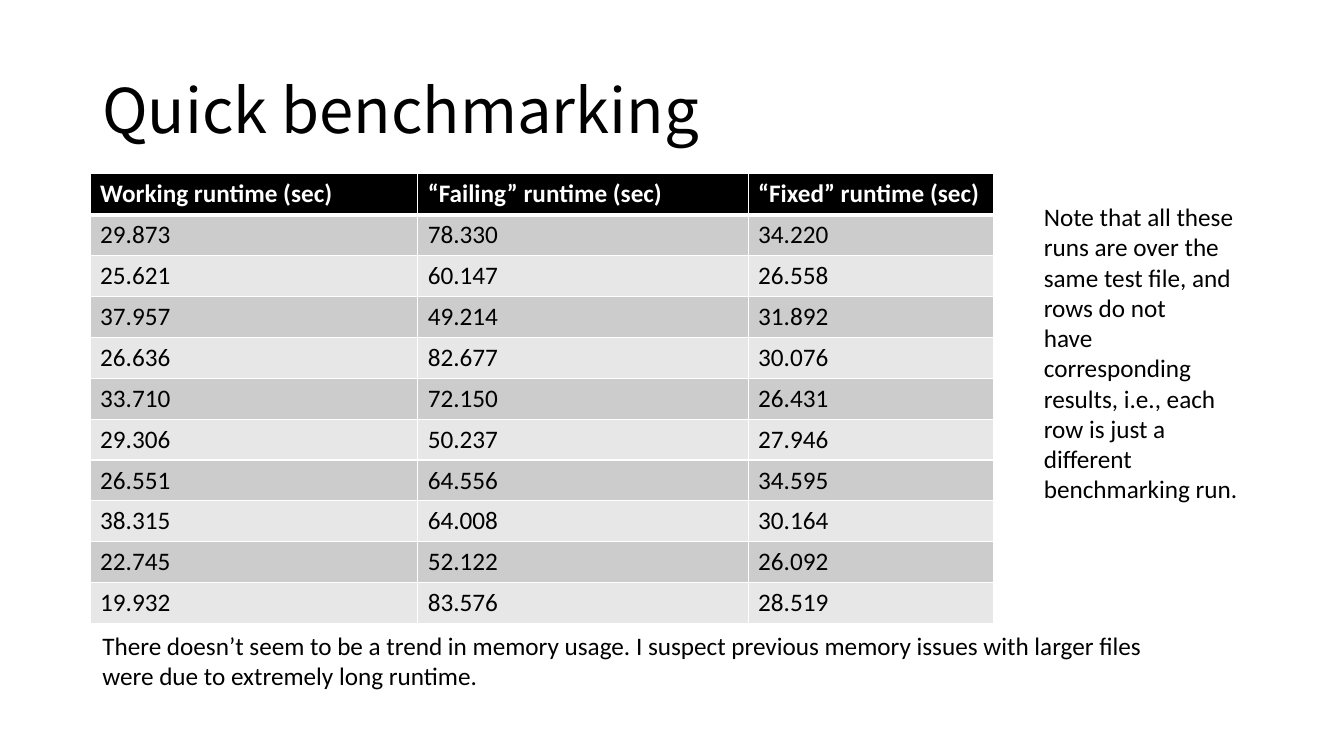
from lxml.etree import SubElement
from pptx import Presentation
from pptx.dml.color import RGBColor
from pptx.enum.text import MSO_ANCHOR, MSO_AUTO_SIZE
from pptx.oxml.ns import qn
from pptx.util import Pt

BODY_FONT = "Calibri"
TITLE_FONT = "Noto Sans CJK JP"
BLACK, WHITE = "000000", "FFFFFF"
BAND_COLORS = ("CCCCCC", "E7E7E7")
ROW_HEIGHT = 29.2
COLUMN_WIDTHS = (234, 236, 175.5)
HEADERS = ("Working runtime (sec)", "“Failing” runtime (sec)", "“Fixed” runtime (sec)")
RUNTIMES = (
    ("29.873", "78.330", "34.220"),
    ("25.621", "60.147", "26.558"),
    ("37.957", "49.214", "31.892"),
    ("26.636", "82.677", "30.076"),
    ("33.710", "72.150", "26.431"),
    ("29.306", "50.237", "27.946"),
    ("26.551", "64.556", "34.595"),
    ("38.315", "64.008", "30.164"),
    ("22.745", "52.122", "26.092"),
    ("19.932", "83.576", "28.519"),
)


def rgb(color):
    return RGBColor.from_string(color)


def format_paragraph(paragraph, size=18, color=BLACK, font=BODY_FONT, bold=False):
    for span in paragraph.runs:
        span.font.name = font
        span.font.size = Pt(size)
        span.font.bold = bold
        span.font.color.rgb = rgb(color)


def add_text(page, text, left, top, width, height, wrap=True, **style):
    box = page.shapes.add_textbox(Pt(left), Pt(top), Pt(width), Pt(height))
    frame = box.text_frame
    frame.word_wrap = wrap
    frame.text = text
    for paragraph in frame.paragraphs:
        format_paragraph(paragraph, **style)
    return frame


def set_borders(cell, color, bottom_width):
    """Draw 1 pt cell borders, with a bottom border of its own width."""
    properties = cell._tc.get_or_add_tcPr()
    widths = {"a:lnL": 1, "a:lnR": 1, "a:lnT": 1, "a:lnB": bottom_width}
    for index, (tag, width) in enumerate(widths.items()):
        line = SubElement(properties, qn(tag), w=str(Pt(width)))
        fill = SubElement(line, qn("a:solidFill"))
        SubElement(fill, qn("a:srgbClr"), val=color)
        properties.insert(index, line)


def fill_row(table, row_index, texts, fill, color=BLACK, bold=False, bottom_width=1):
    table.rows[row_index].height = Pt(ROW_HEIGHT)
    for cell, text in zip(table.rows[row_index].cells, texts):
        cell.text = text
        format_paragraph(cell.text_frame.paragraphs[0], color=color, bold=bold)
        cell.fill.solid()
        cell.fill.fore_color.rgb = rgb(fill)
        set_borders(cell, WHITE, bottom_width)


def add_runtime_table(page, left, top):
    row_count = len(RUNTIMES) + 1
    table = page.shapes.add_table(
        row_count, len(HEADERS), Pt(left), Pt(top),
        Pt(sum(COLUMN_WIDTHS)), Pt(ROW_HEIGHT * row_count),
    ).table
    for column, width in zip(table.columns, COLUMN_WIDTHS):
        column.width = Pt(width)
    fill_row(table, 0, HEADERS, BLACK, color=WHITE, bold=True, bottom_width=3)
    for index, runtimes in enumerate(RUNTIMES):
        fill_row(table, index + 1, runtimes, BAND_COLORS[index % 2])


def main():
    deck = Presentation()
    deck.slide_width, deck.slide_height = Pt(960), Pt(540)
    page = deck.slides.add_slide(deck.slide_layouts[6])

    title = add_text(page, "Quick benchmarking", 66, 28.8, 828, 104.4,
                     size=44, font=TITLE_FONT)
    title.vertical_anchor = MSO_ANCHOR.MIDDLE
    title.paragraphs[0].line_spacing = 0.9

    add_runtime_table(page, 64.4, 124.2)

    memory_note = add_text(
        page,
        "There doesn’t seem to be a trend in memory usage. I suspect previous "
        "memory issues with larger files\nwere due to extremely long runtime.",
        66, 446.4, 766, 51, wrap=False)
    run_note = add_text(
        page,
        "Note that all these runs are over the same test file, and rows do not\n"
        "have corresponding results, i.e., each row is just a different "
        "benchmarking run.",
        738.5, 140.4, 157, 225.4)
    for note in (memory_note, run_note):
        note.auto_size = MSO_AUTO_SIZE.SHAPE_TO_FIT_TEXT

    deck.save("out.pptx")


if __name__ == "__main__":
    main()
